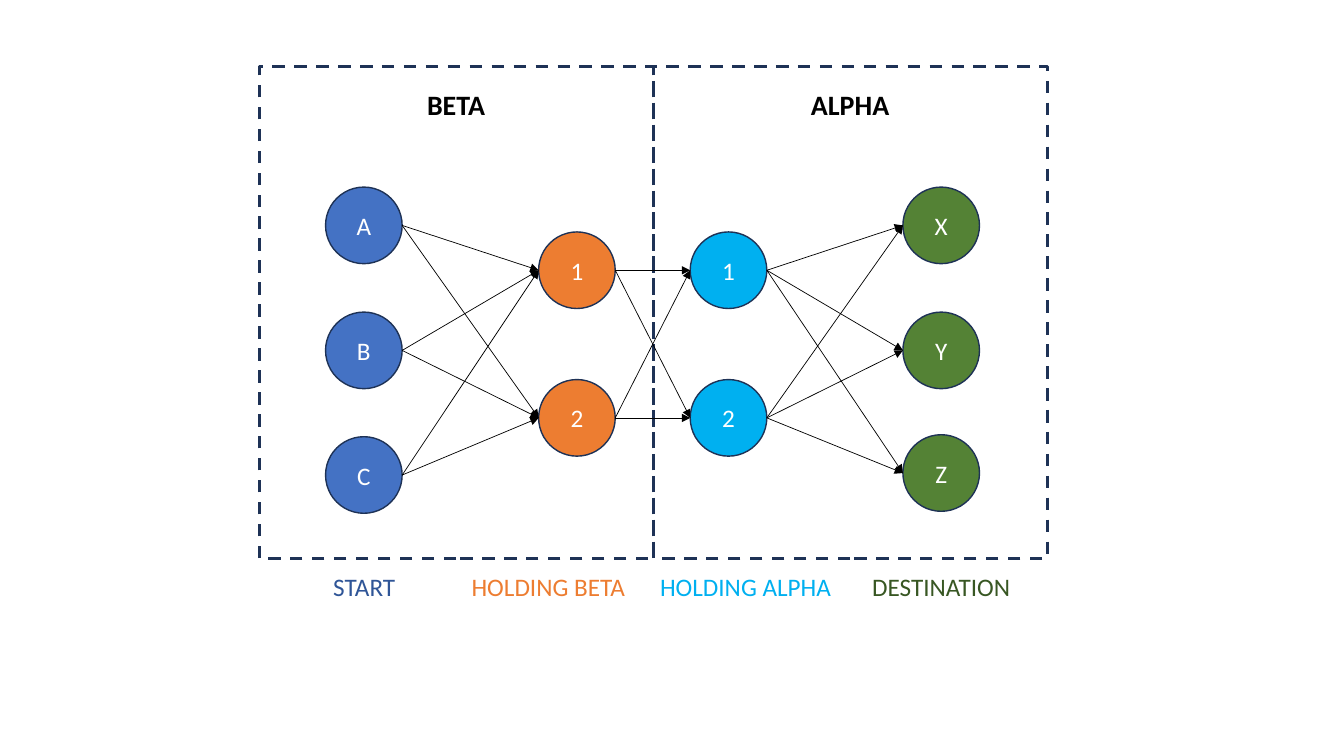
"""Build a slide with a four-layer network split into BETA and ALPHA halves."""
from dataclasses import dataclass
from itertools import pairwise, product

from lxml import etree
from pptx import Presentation
from pptx.dml.color import RGBColor
from pptx.enum.dml import MSO_LINE
from pptx.enum.shapes import MSO_CONNECTOR, MSO_SHAPE
from pptx.enum.text import MSO_ANCHOR, MSO_AUTO_SIZE, PP_ALIGN
from pptx.oxml.ns import qn
from pptx.util import Cm, Pt

RECT, OVAL = MSO_SHAPE.RECTANGLE, MSO_SHAPE.OVAL
STRAIGHT, DASH = MSO_CONNECTOR.STRAIGHT, MSO_LINE.DASH
CENTER, MIDDLE = PP_ALIGN.CENTER, MSO_ANCHOR.MIDDLE
GROW = MSO_AUTO_SIZE.SHAPE_TO_FIT_TEXT


@dataclass(frozen=True)
class Theme:
    """Hold the colours, font and type sizes of the slide."""
    font: str = "Calibri"
    title: int = 20
    body: int = 18
    edge: str = "1E3256"
    black: str = "000000"
    white: str = "FFFFFF"
    blue: str = "4472C4"
    navy: str = "2F5597"
    orange: str = "ED7D31"
    cyan: str = "00B0F0"
    green: str = "548235"
    forest: str = "385723"


@dataclass(frozen=True)
class Layer:
    """Describe one column of nodes and the label below it."""
    mid: float
    rows: tuple
    names: str
    fill: str
    label: str
    ink: str
    spot: float
    width: float


THEME = Theme()
SIZE = 1.93
LEFT, TOP, WIDTH, HEIGHT = 6.53, 1.68, 9.93, 12.4
INNER = (6.81, 10.53)
LAYERS = (
    Layer(9.17, (5.68, 8.83, 11.97), "ABC", THEME.blue,
          "START", THEME.navy, 9.18, 2.16),
    Layer(14.54, INNER, "12", THEME.orange,
          "HOLDING BETA", THEME.orange, 13.82, 5.28),
    Layer(18.36, INNER, "12", THEME.cyan,
          "HOLDING ALPHA", THEME.cyan, 18.79, 5.28),
    Layer(23.72, (5.68, 8.83, 11.92), "XYZ", THEME.green,
          "DESTINATION", THEME.forest, 23.72, 4.42),
)


def rgb(code):
    """Turn a hex code into a colour."""
    return RGBColor.from_string(code)


def write(shape, text, size, ink, bold=False):
    """Put one centred line of text into a shape."""
    para = shape.text_frame.paragraphs[0]
    para.text = text
    para.alignment = CENTER
    font = para.runs[0].font
    font.name, font.size, font.bold = THEME.font, Pt(size), bold
    font.color.rgb = rgb(ink)


def add_frame(slide, left):
    """Draw a dashed, unfilled frame."""
    frame = slide.shapes.add_shape(
        RECT, Cm(left), Cm(TOP), Cm(WIDTH), Cm(HEIGHT))
    frame.shadow.inherit = False
    frame.fill.background()
    frame.line.color.rgb = rgb(THEME.edge)
    frame.line.width = Pt(2.25)
    frame.line.dash_style = DASH


def add_node(slide, mid, row, name, fill):
    """Draw a named circle around a centre point."""
    node = slide.shapes.add_shape(
        OVAL, Cm(mid - SIZE / 2), Cm(row - SIZE / 2), Cm(SIZE), Cm(SIZE))
    node.shadow.inherit = False
    node.fill.solid()
    node.fill.fore_color.rgb = rgb(fill)
    node.line.color.rgb = rgb(THEME.edge)
    node.line.width = Pt(1)
    node.text_frame.vertical_anchor = MIDDLE
    write(node, name, THEME.body, THEME.white)


def add_arrow(slide, start, end):
    """Draw a thin arrow between two points."""
    arrow = slide.shapes.add_connector(
        STRAIGHT, *(Cm(pos) for pos in (*start, *end)))
    arrow.line.color.rgb = rgb(THEME.black)
    arrow.line.width = Pt(0.5)
    tail = etree.SubElement(arrow.line._get_or_add_ln(), qn("a:tailEnd"))
    tail.set("type", "triangle")
    etree.SubElement(arrow._element.spPr, qn("a:effectLst"))


def add_label(slide, mid, top, width, height, text, size, ink, bold=False):
    """Add a text box centred on a given x position."""
    box = slide.shapes.add_textbox(
        Cm(mid - width / 2), Cm(top), Cm(width), Cm(height))
    box.text_frame.word_wrap = True
    box.text_frame.auto_size = GROW
    write(box, text, size, ink, bold)


def main():
    """Build and save the slide."""
    deck = Presentation()
    deck.slide_width, deck.slide_height = Cm(33.87), Cm(19.05)
    slide = deck.slides.add_slide(deck.slide_layouts[6])
    for num, name in enumerate(("BETA", "ALPHA")):
        left = LEFT + num * WIDTH
        add_frame(slide, left)
        add_label(slide, left + WIDTH / 2, 2.08, 3.89, 1.12,
                  name, THEME.title, THEME.black, True)
    for layer in LAYERS:
        for row, name in zip(layer.rows, layer.names):
            add_node(slide, layer.mid, row, name, layer.fill)
        add_label(slide, layer.spot, 14.28, layer.width, 1.02,
                  layer.label, THEME.body, layer.ink)
    for one, two in pairwise(LAYERS):
        for row, goal in product(one.rows, two.rows):
            add_arrow(slide, (one.mid + SIZE / 2, row),
                      (two.mid - SIZE / 2, goal))
    deck.save("out.pptx")


if __name__ == "__main__":
    main()
